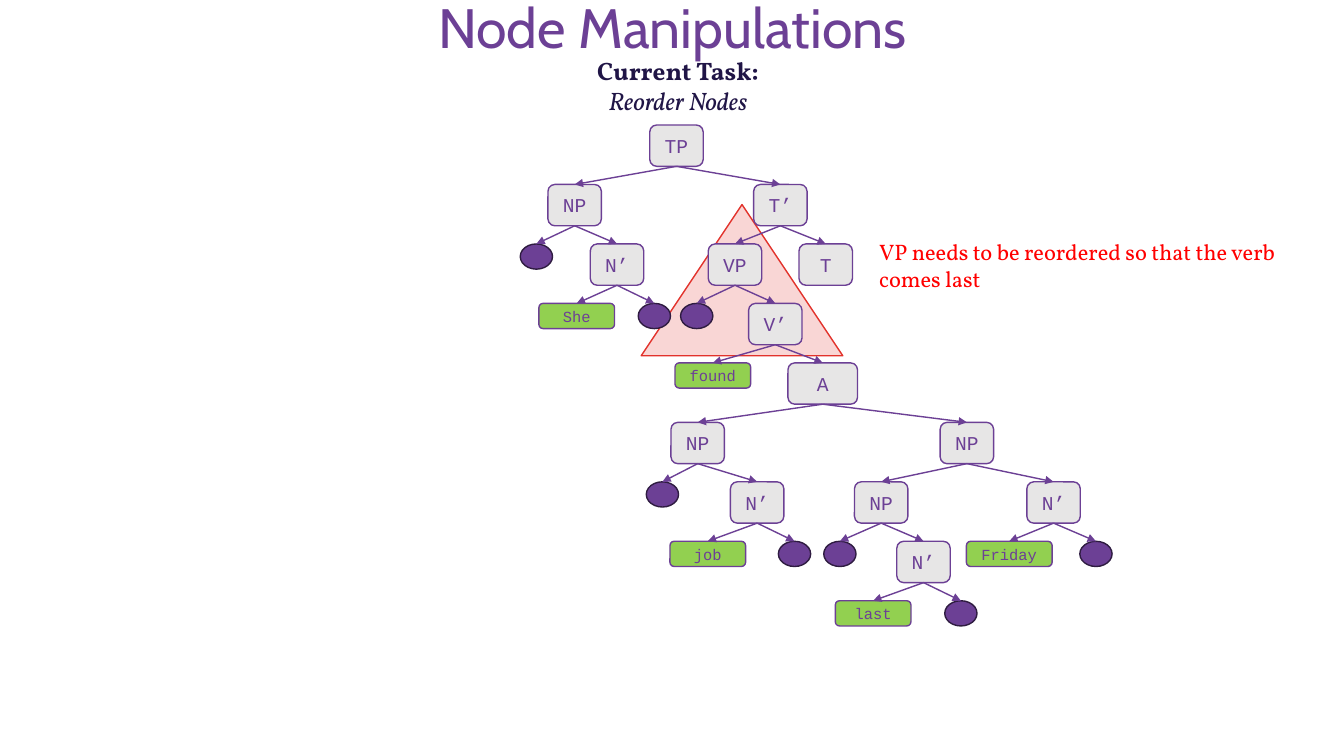
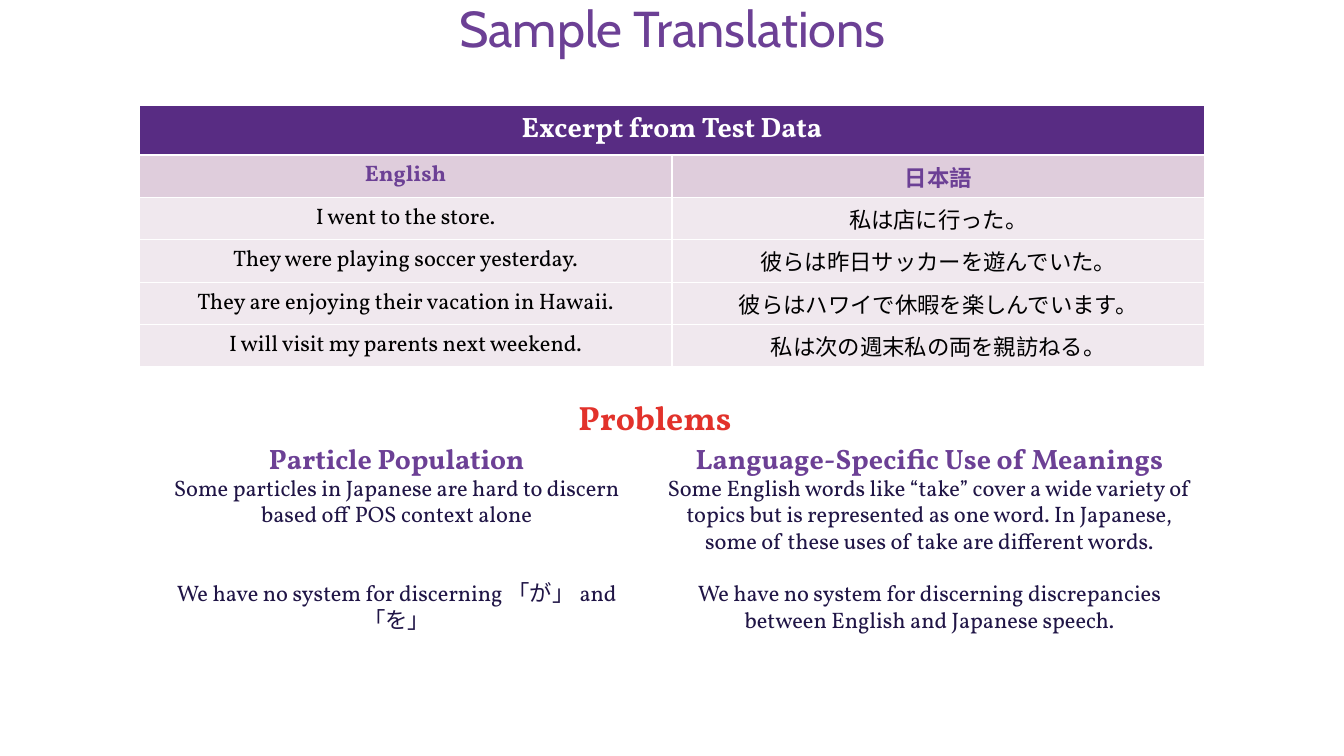
from lxml.etree import SubElement
from pptx import Presentation
from pptx.dml.color import RGBColor
from pptx.enum.shapes import MSO_CONNECTOR, MSO_SHAPE
from pptx.enum.text import MSO_ANCHOR, MSO_AUTO_SIZE, PP_ALIGN
from pptx.oxml.ns import qn
from pptx.util import Inches, Pt

COLORS = {
    "purple": "6C4095", "dark purple": "2F1C41", "header": "582C83",
    "navy": "201546", "red": "E2322B", "bright red": "FF0000",
    "pink": "F9D6D5", "gray": "E7E6E6", "green": "92D050",
    "subheader": "DFCDDC", "row": "F0E8EE", "white": "FFFFFF", "black": "000000",
}
TITLE_FONT, BODY_FONT, NODE_FONT = "Cabin", "Vollkorn", "Courier New"
ASIAN_FONT = "Noto Sans CJK JP"
TITLE_ONLY = 5

# Tree rows: a node's depth gives its top
TREE_TOP, ROW_STEP = 1.24, 0.59
# Text columns of the second slide: left, width
COLUMNS = [(1.38, 5.11), (6.49, 5.46)]

# Node kinds: shape, width, height, fill, line, text size
KINDS = {
    "phrase": (MSO_SHAPE.ROUNDED_RECTANGLE, 0.53, 0.41, "gray", "purple", 14),
    "wide": (MSO_SHAPE.ROUNDED_RECTANGLE, 0.69, 0.41, "gray", "purple", 14),
    "word": (MSO_SHAPE.ROUNDED_RECTANGLE, 0.75, 0.25, "green", "purple", 11),
    "long word": (MSO_SHAPE.ROUNDED_RECTANGLE, 0.85, 0.25, "green", "purple", 11),
    "empty": (MSO_SHAPE.OVAL, 0.32, 0.25, "purple", "dark purple", 11),
}


def empty(center):
    return ("empty", "", center, [])


def word(text, center, kind="word"):
    return (kind, text, center, [])


def phrase(text, center, *children, kind="phrase"):
    return (kind, text, center, children)


SENTENCE = phrase(
    "TP", 6.71,
    phrase("NP", 5.7, empty(5.32),
           phrase("N’", 6.12, word("She", 5.72), empty(6.49))),
    phrase("T’", 7.74,
           phrase("VP", 7.29, empty(6.91),
                  phrase("V’", 7.69, word("found", 7.07),
                         phrase("A", 8.16,
                                phrase("NP", 6.92, empty(6.57),
                                       phrase("N’", 7.51, word("job", 7.02), empty(7.88))),
                                phrase("NP", 9.59,
                                       phrase("NP", 8.74, empty(8.33),
                                              phrase("N’", 9.16, word("last", 8.66),
                                                     empty(9.53))),
                                       phrase("N’", 10.45,
                                              word("Friday", 10.01, "long word"),
                                              empty(10.87))),
                                kind="wide"))),
           phrase("T", 8.19)))

TRANSLATIONS = [
    ("English", "日本語"),
    ("I went to the store.", "私は店に行った。"),
    ("They were playing soccer yesterday.", "彼らは昨日サッカーを遊んでいた。"),
    ("They are enjoying their vacation in Hawaii.", "彼らはハワイで休暇を楽しんでいます。"),
    ("I will visit my parents next weekend.", "私は次の週末私の両を親訪ねる。"),
]

PROBLEMS = [
    ("Particle Population",
     "Some particles in Japanese are hard to discern based off POS context alone",
     "We have no system for discerning 「が」 and「を」"),
    ("Language-Specific Use of Meanings",
     "Some English words like “take” cover a wide variety of topics but is represented "
     "as one word. In Japanese, some of these uses of take are different words.",
     "We have no system for discerning discrepancies between English and Japanese speech."),
]


def color(name):
    return RGBColor.from_string(COLORS[name])


def format_para(para, size, ink, font=BODY_FONT, bold=False, italic=False,
                align=PP_ALIGN.CENTER):
    para.alignment = align
    style = para.font
    style.size, style.name = Pt(size), font
    style.bold, style.italic = bold, italic
    style.color.rgb = color(ink)
    SubElement(style._element, qn("a:ea"), typeface=ASIAN_FONT)


def paint(shape, fill, line):
    shape.shadow.inherit = False
    shape.fill.solid()
    shape.fill.fore_color.rgb = color(fill)
    shape.line.color.rgb = color(line)
    shape.line.width = Pt(1)


def add_page(deck, title, size):
    page = deck.slides.add_slide(deck.slide_layouts[TITLE_ONLY])
    box = page.shapes.title
    box.left, box.top, box.width, box.height = map(Inches, (0.92, 0.05, 11.5, 0.51))
    frame = box.text_frame
    frame.text = title
    frame.auto_size = MSO_AUTO_SIZE.NONE
    frame.vertical_anchor = MSO_ANCHOR.MIDDLE
    frame.paragraphs[0].line_spacing = 0.9
    format_para(frame.paragraphs[0], size, "purple", TITLE_FONT)
    return page


def add_text(page, place, lines):
    """Add a text box; each line is its text and its format."""
    frame = page.shapes.add_textbox(*map(Inches, place)).text_frame
    frame.word_wrap = True
    for index, (text, style) in enumerate(lines):
        para = frame.add_paragraph() if index else frame.paragraphs[0]
        para.text = text
        format_para(para, **style)


def add_node(page, kind, text, center, top):
    preset, width, height, fill, line, size = KINDS[kind]
    node = page.shapes.add_shape(
        preset, *map(Inches, (center - width / 2, top, width, height)))
    paint(node, fill, line)
    if text:
        frame = node.text_frame
        frame.margin_left = frame.margin_right = 0
        frame.margin_top = frame.margin_bottom = 0
        frame.vertical_anchor = MSO_ANCHOR.MIDDLE
        frame.text = text
        format_para(frame.paragraphs[0], size, "purple", NODE_FONT)
    return node


def add_arrow(page, parent, child):
    arrow = page.shapes.add_connector(MSO_CONNECTOR.STRAIGHT, 0, 0, 0, 0)
    arrow.begin_connect(parent, 2)
    arrow.end_connect(child, 0)
    arrow.line.color.rgb = color("purple")
    arrow.line.width = Pt(1)
    properties = arrow._element.spPr
    SubElement(properties.find(qn("a:ln")), qn("a:tailEnd"), type="triangle")
    SubElement(properties, qn("a:effectLst"))


def add_tree(page, tree, depth=0):
    kind, text, center, children = tree
    node = add_node(page, kind, text, center, TREE_TOP + depth * ROW_STEP)
    for child in children:
        add_arrow(page, node, add_tree(page, child, depth + 1))
    return node


def fill_cell(cell, text, fill, margin, **style):
    properties = cell._tc.get_or_add_tcPr()
    for side in ("lnL", "lnR", "lnT", "lnB"):
        border = SubElement(properties, qn(f"a:{side}"), w=str(Pt(1)))
        SubElement(SubElement(border, qn("a:solidFill")), qn("a:srgbClr"),
                   val=COLORS["white"])
    cell.fill.solid()
    cell.fill.fore_color.rgb = color(fill)
    cell.margin_left = cell.margin_right = Inches(margin)
    cell.vertical_anchor = MSO_ANCHOR.MIDDLE
    cell.text = text
    format_para(cell.text_frame.paragraphs[0], **style)


def add_translations(page):
    heights = [0.41, 0.37] + [0.35] * 4
    table = page.shapes.add_table(
        len(heights), 2, *map(Inches, (1.38, 1.05, 10.57, sum(heights)))).table
    for row, height in zip(table.rows, heights):
        row.height = Inches(height)
    # Heading across both columns
    table.cell(0, 0).merge(table.cell(0, 1))
    fill_cell(table.cell(0, 0), "Excerpt from Test Data", "header", 0.1,
              size=20, ink="white", bold=True)
    # Language names, then sentence pairs
    for row, pair in enumerate(TRANSLATIONS, start=1):
        for column, text in enumerate(pair):
            if row == 1:
                fill_cell(table.cell(row, column), text, "subheader", 0.15,
                          size=16, ink="purple", bold=True)
            else:
                fill_cell(table.cell(row, column), text, "row", 0.07,
                          size=16, ink="black")


def build_manipulations(deck):
    page = add_page(deck, "Node Manipulations", 39.6)
    # Highlight behind the verb phrase
    highlight = page.shapes.add_shape(
        MSO_SHAPE.ISOSCELES_TRIANGLE, *map(Inches, (6.36, 2.03, 2, 1.5)))
    paint(highlight, "pink", "red")
    add_tree(page, SENTENCE)
    # Task and remark
    task = dict(size=18, ink="navy")
    add_text(page, (4.16, 0.5, 5.13, 0.71), [
        ("Current Task:", dict(task, bold=True)),
        ("Reorder Nodes", dict(task, italic=True))])
    add_text(page, (8.62, 2.31, 4.45, 0.64), [
        ("VP needs to be reordered so that the verb comes last",
         dict(size=16, ink="bright red", align=PP_ALIGN.LEFT))])


def build_translations(deck):
    page = add_page(deck, "Sample Translations", 36)
    add_translations(page)
    add_text(page, (0.57, 3.89, 11.85, 0.5),
             [("Problems", dict(size=24, ink="red", bold=True))])
    # One column for each problem
    heading = dict(size=20, ink="purple", bold=True)
    body = dict(size=16, ink="navy")
    for (left, width), (name, cause, result) in zip(COLUMNS, PROBLEMS):
        for text, top, height, style in (
                (name, 4.33, 0.44, heading), (cause, 4.65, 0.91, body),
                (result, 5.7, 0.64, body)):
            add_text(page, (left, top, width, height), [(text, style)])


def main():
    deck = Presentation()
    deck.slide_width, deck.slide_height = Inches(13.33), Inches(7.5)
    build_manipulations(deck)
    build_translations(deck)
    deck.save("out.pptx")


if __name__ == "__main__":
    main()
